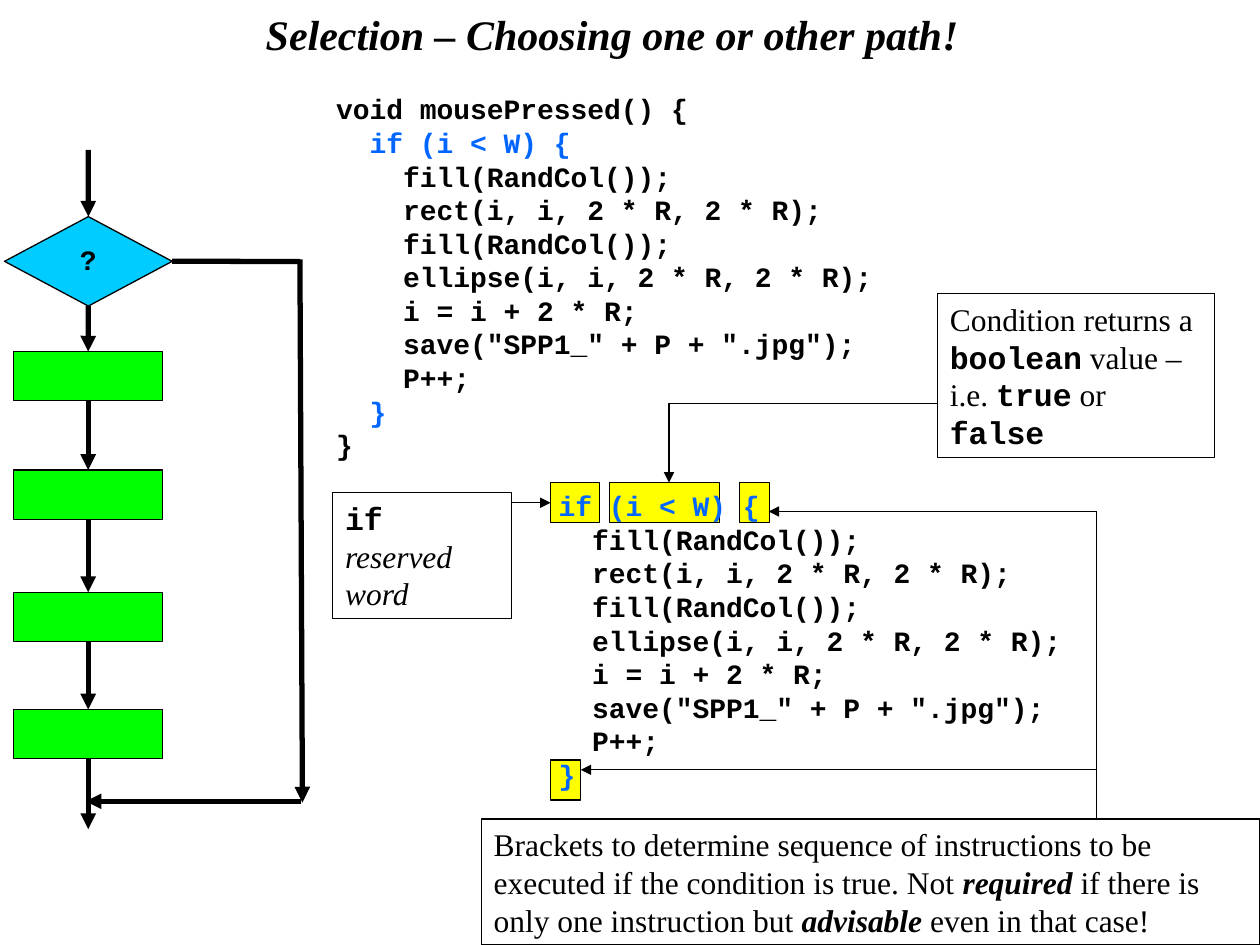
from dataclasses import dataclass
from typing import Optional

from lxml.etree import SubElement as Sub
from pptx import Presentation
from pptx.dml.color import RGBColor as Rgb
from pptx.enum.shapes import MSO_CONNECTOR as Conn, MSO_SHAPE as Kind
from pptx.enum.text import MSO_ANCHOR as Anchor, MSO_AUTO_SIZE as Auto, PP_ALIGN as Align
from pptx.oxml.ns import qn
from pptx.util import Pt

TOP, LEFT, BASE, RIGHT = range(4)


@dataclass(frozen=True)
class Theme:
    ink: Rgb = Rgb(0, 0, 0)
    blue: Rgb = Rgb(0, 102, 255)
    sky: Rgb = Rgb(0, 204, 255)
    green: Rgb = Rgb(0, 255, 0)
    gold: Rgb = Rgb(255, 255, 0)
    head: int = 24
    note: int = 18
    code: int = 16
    thin: float = 0.75
    thick: float = 3
    serif: str = "Times New Roman"
    mono: str = "Courier New"


THEME = Theme()


@dataclass(frozen=True)
class Run:
    text: str
    form: dict
    tint: Rgb = THEME.ink


@dataclass(frozen=True)
class Box:
    left: float
    top: float
    width: float
    height: float
    fill: Optional[Rgb] = None
    kind: Kind = Kind.RECTANGLE


@dataclass(frozen=True)
class Line:
    start: tuple
    end: tuple
    width: float = THEME.thin
    arrow: bool = True
    source: Optional[tuple] = None
    target: Optional[tuple] = None


HEAD = dict(name=THEME.serif, size=Pt(THEME.head), bold=True, italic=True)
PLAIN = dict(name=THEME.serif, size=Pt(THEME.note), bold=False, italic=False)
SLANT = PLAIN | dict(italic=True)
STRONG = SLANT | dict(bold=True)
WORD = dict(name=THEME.mono, size=Pt(THEME.note), bold=True, italic=False)
CODE = WORD | dict(size=Pt(THEME.code))

BODY = (
    "    fill(RandCol());",
    "    rect(i, i, 2 * R, 2 * R);",
    "    fill(RandCol());",
    "    ellipse(i, i, 2 * R, 2 * R);",
    "    i = i + 2 * R;",
    '    save("SPP1_" + P + ".jpg");',
    "    P++;",
)
BLOCK = [
    [Run("  if (i < W) {", CODE, THEME.blue)],
    *[[Run(text, CODE)] for text in BODY],
    [Run("  }", CODE, THEME.blue)],
]
WHOLE = [[Run("void mousePressed() {", CODE)], *BLOCK, [Run("}", CODE)]]

MARKS = [
    Box(422.6, 275.8, 17.3, 23, THEME.gold),
    Box(314.6, 434.2, 17.3, 23, THEME.gold),
    Box(348.5, 275.8, 62.6, 23, THEME.gold),
    Box(314.6, 275.8, 28.1, 23, THEME.gold),
]
STEPS = [Box(7.9, top, 85, 28.1, THEME.green) for top in (200.9, 268.6, 338.4, 405.4)]
TEST = Box(2.6, 123.8, 95.8, 51.1, THEME.sky, Kind.DIAMOND)
TITLE = Box(25.9, 0, 648, 38.2)

NOTES = [
    (Box(190.1, 281.5, 102.2, 72), [Run("if ", WORD), Run("reserved word", SLANT)]),
    (Box(535.7, 167.8, 158.4, 93.6), [
        Run("Condition returns a ", PLAIN), Run("boolean", WORD),
        Run(" value – i.e. ", PLAIN), Run("true", WORD),
        Run(" or ", PLAIN), Run("false", WORD),
    ]),
    (Box(275, 468, 445, 72), [
        Run("Brackets to determine sequence of instructions to be executed "
            "if the condition is true. Not ", PLAIN),
        Run("required", STRONG),
        Run(" if there is only one instruction but ", PLAIN),
        Run("advisable", STRONG),
        Run(" even in that case!", PLAIN),
    ]),
]


def write(shape, lines: list, **form) -> None:
    frame = shape.text_frame
    base = dict(word_wrap=True, vertical_anchor=Anchor.TOP, auto_size=Auto.NONE)
    align = form.pop("align", Align.LEFT)
    space = form.pop("space", 1.0)
    for key, value in (base | form).items():
        setattr(frame, key, value)
    for order, runs in enumerate(lines):
        para = frame.add_paragraph() if order else frame.paragraphs[0]
        para.alignment, para.line_spacing = align, space
        for item in runs:
            run = para.add_run()
            run.text = item.text
            for key, value in item.form.items():
                setattr(run.font, key, value)
            run.font.color.rgb = item.tint


def place(box: Box) -> tuple:
    return Pt(box.left), Pt(box.top), Pt(box.width), Pt(box.height)


def draw(slide, box: Box):
    shape = slide.shapes.add_shape(box.kind, *place(box))
    shape.shadow.inherit = False
    shape.line.color.rgb = THEME.ink
    shape.line.width = Pt(THEME.thin)
    if box.fill is None:
        shape.fill.background()
    else:
        shape.fill.solid()
        shape.fill.fore_color.rgb = box.fill
    return shape


def label(slide, box: Box, lines: list, **form) -> None:
    write(slide.shapes.add_textbox(*place(box)), lines, **form)


def link(slide, line: Line) -> None:
    ends = [Pt(value) for value in (*line.start, *line.end)]
    wire = slide.shapes.add_connector(Conn.STRAIGHT, *ends)
    if line.source:
        wire.begin_connect(*line.source)
    if line.target:
        wire.end_connect(*line.target)
    wire.line.color.rgb = THEME.ink
    wire.line.width = Pt(line.width)
    props = wire._element.spPr
    if line.arrow:
        Sub(props.get_or_add_ln(), qn("a:tailEnd"), type="triangle")
    Sub(props, qn("a:effectLst"))


def main() -> None:
    deck = Presentation()
    deck.slide_width, deck.slide_height = Pt(720), Pt(540)
    slide = deck.slides.add_slide(deck.slide_layouts[6])

    marks = [draw(slide, box) for box in MARKS]
    label(slide, TITLE, [[Run("Selection – Choosing one or other path!", HEAD)]],
          align=Align.CENTER, vertical_anchor=Anchor.MIDDLE)

    test = draw(slide, TEST)
    write(test, [[Run("?", CODE)]], align=Align.CENTER, space=0.95,
          vertical_anchor=Anchor.MIDDLE)
    nodes = [test] + [draw(slide, box) for box in STEPS]
    mid = (50.4, 0)
    for first, then in zip(nodes, nodes[1:]):
        link(slide, Line(mid, mid, THEME.thick, source=(first, BASE), target=(then, TOP)))
    for line in (
        Line((50.4, 85.7), mid, THEME.thick, target=(test, TOP)),
        Line(mid, (50.4, 473.8), THEME.thick, source=(nodes[-1], BASE)),
        Line((171.4, 148.3), (172.8, 458.6), THEME.thick),
        Line((171.4, 149.4), (98.4, 149.4), THEME.thick, False, target=(test, RIGHT)),
        Line((172.1, 457.9), (49, 457.9), THEME.thick),
    ):
        link(slide, line)

    for box, lines in ((Box(185, 49, 326, 218.2), WHOLE),
                       (Box(293, 275.8, 326, 181.2), BLOCK)):
        label(slide, box, lines)
    for box, runs in NOTES:
        write(draw(slide, box), [runs])

    for line in (
        Line((292.3, 287.3), (314.6, 287.3), target=(marks[3], LEFT)),
        Line((382.3, 230.4), (382.3, 275.8)),
        Line((382.3, 230.4), (535.7, 230.4), arrow=False),
        Line((626.4, 439.9), (331.9, 439.9)),
        Line((626.4, 468.7), (626.4, 292.3), arrow=False),
        Line((626.4, 292.3), (439.2, 292.3)),
    ):
        link(slide, line)
    deck.save("out.pptx")


if __name__ == "__main__":
    main()
